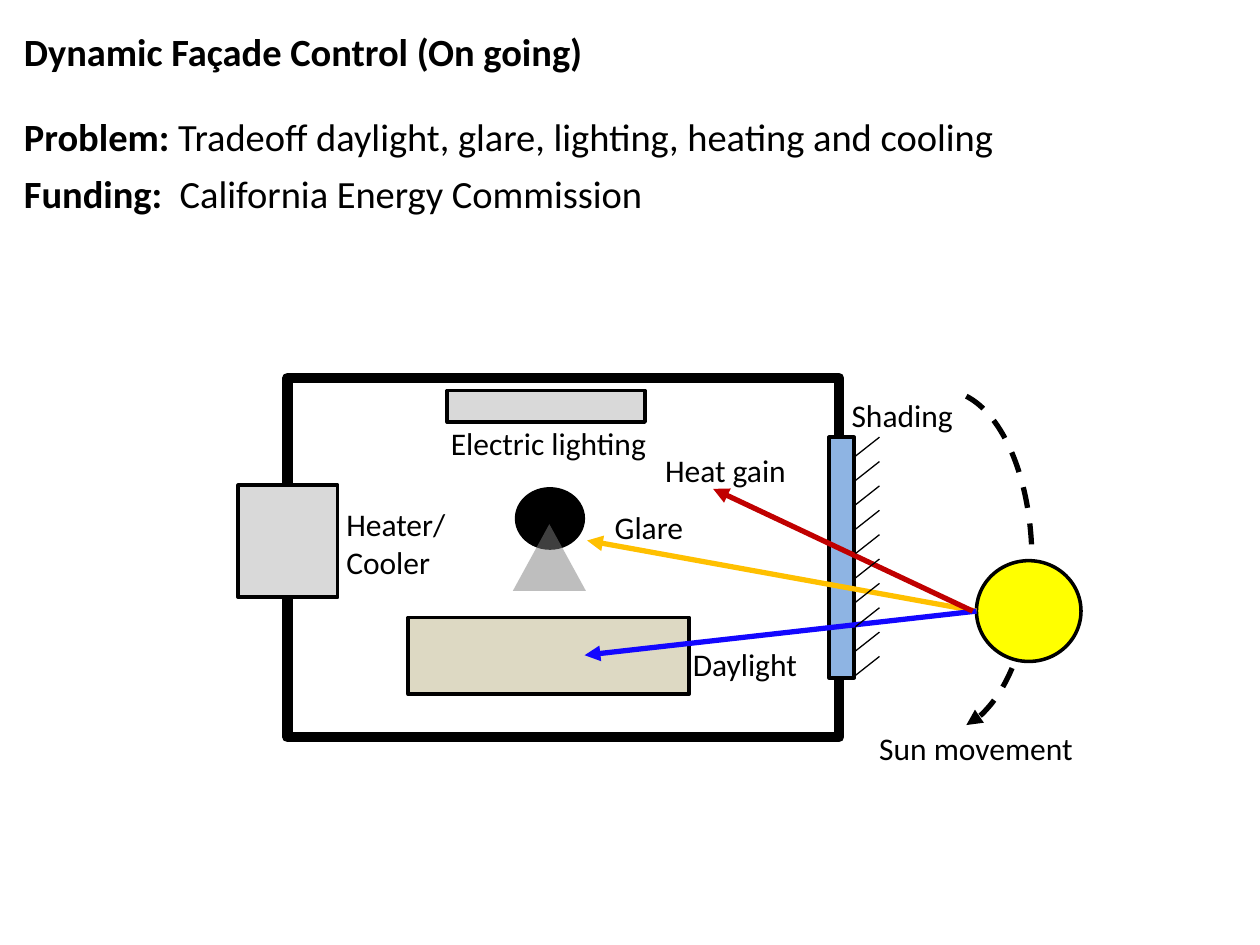
from lxml import etree
from pptx import Presentation
from pptx import util as u
from pptx.dml.color import RGBColor
from pptx.enum import dml, shapes, text
from pptx.oxml.ns import qn

INK = {
    "black": "000000", "white": "FFFFFF", "grey": "D9D9D9", "shade": "7F7F7F",
    "desk": "DDD9C3", "glass": "8EB4E3", "sun": "FFFF00",
    "glare": "FFC000", "day": "1307FF", "heat": "C00000",
}
KIND = shapes.MSO_SHAPE


class Sketch:
    def __init__(self, slide, font="Calibri", big=22, small=18):
        self.slide, self.font = slide, font
        self.big, self.small = big, small

    def color(self, name):
        return RGBColor.from_string(INK[name])

    def style(self, para, size):
        font = para.font
        font.name, font.size = self.font, u.Pt(size)
        font.color.rgb = self.color("black")

    def frame(self, holder, box):
        """Move a placeholder and give its text plain, top-left settings."""
        holder.left, holder.top, holder.width, holder.height = map(u.Inches, box)
        frame = holder.text_frame
        frame.word_wrap = False
        frame.auto_size = text.MSO_AUTO_SIZE.NONE
        frame.vertical_anchor = text.MSO_ANCHOR.TOP
        return frame

    def title(self, box, words):
        para = self.frame(self.slide.shapes.title, box).paragraphs[0]
        para.text = words
        para.alignment = text.PP_ALIGN.LEFT
        self.style(para, self.big)
        para.font.bold = True

    def body(self, box, rows):
        """Write rows of (bold lead, plain rest) without bullets."""
        frame = self.frame(self.slide.placeholders[1], box)
        for i, (lead, rest) in enumerate(rows):
            para = frame.add_paragraph() if i else frame.paragraphs[0]
            para.space_before, para.space_after = u.Pt(0), u.Pt(6)
            self.style(para, self.big)
            props = para._p.get_or_add_pPr()
            props.set("marL", "0")
            props.set("indent", "0")
            props.insert_element_before(
                props.makeelement(qn("a:buNone")), "a:tabLst", "a:defRPr", "a:extLst")
            for words, bold in ((lead, True), (rest, False)):
                run = para.add_run()
                run.text, run.font.bold = words, bold

    def label(self, box, *rows):
        frame = self.slide.shapes.add_textbox(*map(u.Inches, box)).text_frame
        frame.word_wrap = False
        for i, words in enumerate(rows):
            para = frame.add_paragraph() if i else frame.paragraphs[0]
            para.text = words
            self.style(para, self.small)

    def shape(self, kind, box, fill=None, line=2, alpha=None):
        item = self.slide.shapes.add_shape(kind, *map(u.Inches, box))
        item.shadow.inherit = False
        if fill:
            item.fill.solid()
            item.fill.fore_color.rgb = self.color(fill)
        else:
            item.fill.background()
        if alpha:
            tint = item._element.spPr.find(".//" + qn("a:srgbClr"))
            etree.SubElement(tint, qn("a:alpha"), val=str(alpha * 1000))
        if line:
            item.line.color.rgb = self.color("black")
            item.line.width = u.Pt(line)
        else:
            item.line.fill.background()
        return item

    def head(self, item):
        """Put an arrowhead at the end of a line or arc."""
        etree.SubElement(item.line._get_or_add_ln(), qn("a:tailEnd"), type="triangle")

    def arc(self, box, start, end):
        """Draw a dashed arc with an arrowhead; angles in degrees."""
        item = self.shape(KIND.ARC, box, line=3)
        for i, angle in enumerate((start, end)):
            item.adjustments[i] = angle * 0.6
        item.line.dash_style = dml.MSO_LINE.DASH
        self.head(item)

    def line(self, start, end, color="black", width=0.75, arrow=False):
        item = self.slide.shapes.add_connector(
            shapes.MSO_CONNECTOR.STRAIGHT, *map(u.Inches, start + end))
        item.line.color.rgb = self.color(color)
        item.line.width = u.Pt(width)
        if arrow:
            self.head(item)
        etree.SubElement(item._element.spPr, qn("a:effectLst"))


def main():
    deck = Presentation()
    deck.slide_width, deck.slide_height = u.Inches(10), u.Inches(7.5)
    art = Sketch(deck.slides.add_slide(deck.slide_layouts[1]))

    art.title((0.09, 0.17, 4.69, 0.47), "Dynamic Façade Control (On going)")
    art.body((0.09, 0.85, 7.99, 0.93), [
        ("Problem: ", "Tradeoff daylight, glare, lighting, heating and cooling"),
        ("Funding:  ", "California Energy Commission"),
    ])

    # Room, person, desk and window
    art.shape(KIND.RECTANGLE, (2.28, 3, 4.38, 2.85), "white", line=6)
    art.shape(KIND.OVAL, (4.1, 3.88, 0.53, 0.47), "black")
    art.shape(KIND.RECTANGLE, (3.24, 4.9, 2.23, 0.61), "desk")
    art.shape(KIND.ISOSCELES_TRIANGLE, (4.07, 4.16, 0.58, 0.53), "shade",
              line=None, alpha=50)
    art.shape(KIND.RECTANGLE, (6.58, 3.47, 0.2, 1.91), "glass")

    # Sun, its course and its rays
    art.arc((6.79, 3.1, 1.4, 2.7), 277.82, 82.16)
    art.shape(KIND.OVAL, (7.75, 4.45, 0.83, 0.8), "sun")
    for start, end, color in (
        ((7.75, 4.85), (4.66, 4.29), "glare"),
        ((7.75, 4.85), (4.64, 5.2), "day"),
        ((7.72, 4.85), (5.66, 3.88), "heat"),
    ):
        art.line(start, end, color, width=3, arrow=True)

    # Lamp and heater
    art.shape(KIND.RECTANGLE, (3.55, 3.1, 1.57, 0.25), "grey")
    art.shape(KIND.RECTANGLE, (1.89, 3.85, 0.79, 0.89), "grey")

    # Shading slats
    count, first, last = 10, 3.62, 5.36
    for i in range(count):
        y = first + i * (last - first) / (count - 1)
        art.line((6.79, y), (6.98, y - 0.15))

    for box, *rows in (
        ((5.18, 3.53, 1.17, 0.4), "Heat gain"),
        ((4.78, 3.98, 0.75, 0.4), "Glare"),
        ((5.4, 5.07, 1.04, 0.4), "Daylight"),
        ((3.48, 3.32, 1.77, 0.4), "Electric lighting"),
        ((2.65, 3.96, 1, 0.71), "Heater/", "Cooler"),
        ((6.66, 3.09, 1.02, 0.4), "Shading"),
        ((6.88, 5.74, 1.76, 0.4), "Sun movement"),
    ):
        art.label(box, *rows)

    deck.save("out.pptx")


if __name__ == "__main__":
    main()
